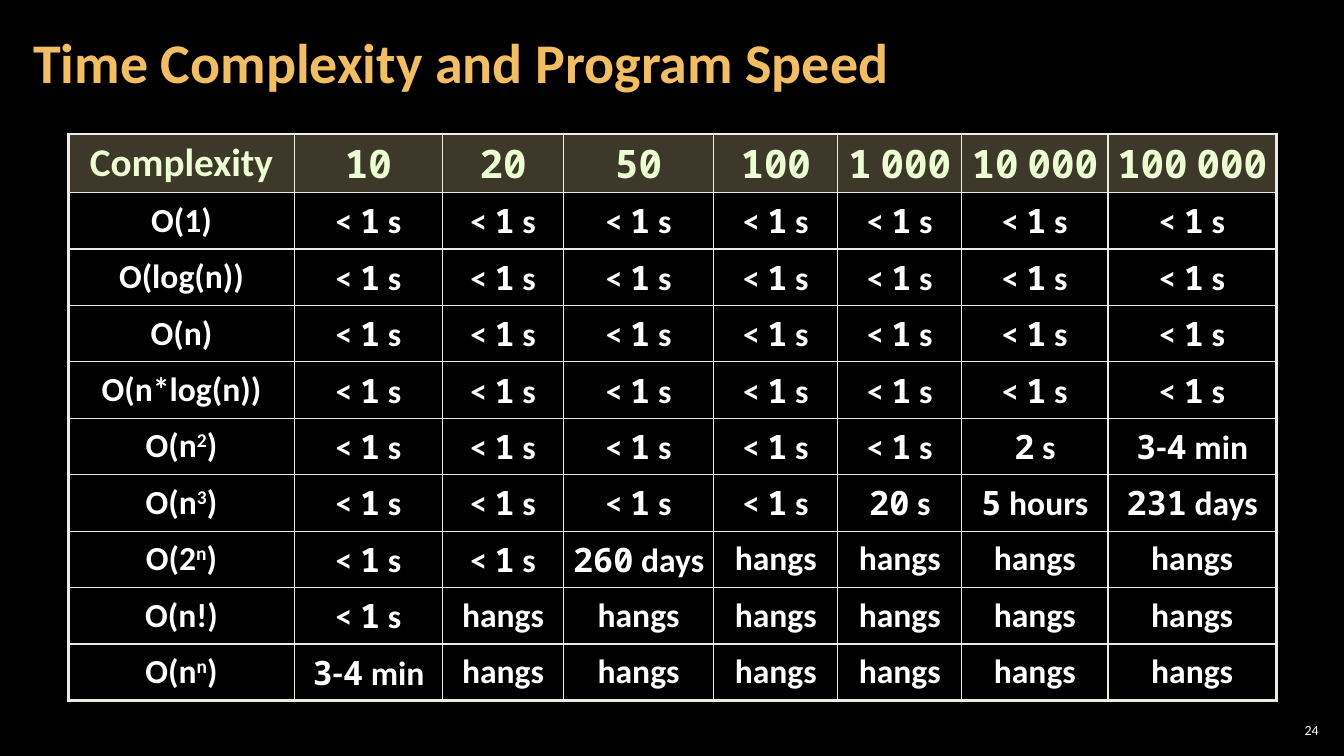
import itertools

import lxml.etree
import pptx
import pptx.dml.color
import pptx.enum.text
import pptx.oxml.ns
import pptx.util

Inches = pptx.util.Inches
Pt = pptx.util.Pt
Align = pptx.enum.text.PP_ALIGN
Middle = pptx.enum.text.MSO_ANCHOR.MIDDLE
qn = pptx.oxml.ns.qn


class Theme:
    background = "000000"
    title = "F3BE60"
    text = "FFFFFF"
    header = "EBFFD2"
    header_fill = "7C7154"
    border = "ECEAE3"
    font = "Calibri"
    digit_font = "Noto Sans Mono"
    title_size = 40
    header_size = 28
    body_size = 24
    number_size = 10
    thin = 1
    thick = 2.25


def color(value):
    return pptx.dml.color.RGBColor.from_string(value)


def write(frame, text, size, ink, align=Align.LEFT, bold=True, digit_font=Theme.font, line_spacing=1, space=0):
    para = frame.paragraphs[0]
    para.alignment = align
    para.line_spacing = line_spacing
    para.space_before = para.space_after = Pt(space)
    for part, piece in enumerate(text.split("^")):
        for is_digit, letters in itertools.groupby(piece, str.isdigit):
            span = para.add_run()
            span.text = "".join(letters)
            span.font.name = digit_font if is_digit else Theme.font
            span.font.size = Pt(size)
            span.font.bold = bold
            span.font.color.rgb = color(ink)
            if part % 2:
                span._r.get_or_add_rPr().set("baseline", "30000")
    return para


deck = pptx.Presentation()
deck.slide_width = Inches(13.33)
deck.slide_height = Inches(7.5)
page = deck.slides.add_slide(deck.slide_layouts[5])
page.background.fill.solid()
page.background.fill.fore_color.rgb = color(Theme.background)

title = page.shapes.title
title.left, title.top, title.width, title.height = map(Inches, (0.21, 0.04, 10.47, 1.21))
number = page.shapes.add_textbox(*map(Inches, (12.65, 7.14, 0.47, 0.21)))
for box, side in ((title, 0.12), (number, 0.04)):
    frame = box.text_frame
    frame.word_wrap = True
    frame.auto_size = pptx.enum.text.MSO_AUTO_SIZE.NONE
    frame.vertical_anchor = Middle
    frame.margin_left = frame.margin_right = Inches(side)
    frame.margin_top = frame.margin_bottom = Inches(0.04)
write(title.text_frame, "Time Complexity and Program Speed", size=Theme.title_size, ink=Theme.title, line_spacing=0.9)
write(number.text_frame, "24", size=Theme.number_size, ink=Theme.text, align=Align.RIGHT, bold=False)

headings = ["Complexity", "10", "20", "50", "100", "1 000", "10 000", "100 000"]
growth = [
    ("O(1)", 7, []),
    ("O(log(n))", 7, []),
    ("O(n)", 7, []),
    ("O(n*log(n))", 7, []),
    ("O(n^2^)", 5, ["2 s", "3-4 min"]),
    ("O(n^3^)", 4, ["20 s", "5 hours", "231 days"]),
    ("O(2^n^)", 2, ["260 days"]),
    ("O(n!)", 1, []),
    ("O(n^n^)", 0, ["3-4 min"]),
]
rows = [headings]
for formula, fast_count, slow_times in growth:
    times = ["< 1 s"] * fast_count + slow_times
    rows.append([formula] + times + ["hangs"] * (len(headings) - 1 - len(times)))

widths = [2.24, 1.47, 1.2, 1.49, 1.23, 1.23, 1.45, 1.67]
heights = [0.58] + [0.56] * len(growth)
table = page.shapes.add_table(
    len(rows), len(headings), Inches(0.68), Inches(1.33), Inches(sum(widths)), Inches(sum(heights))
).table
table.first_row = table.horz_banding = False
for column, width in zip(table.columns, widths):
    column.width = Inches(width)
for row, height in zip(table.rows, heights):
    row.height = Inches(height)

last_row, last_column = len(rows) - 1, len(headings) - 1
for row_index, values in enumerate(rows):
    for column_index, value in enumerate(values):
        cell = table.cell(row_index, column_index)
        cell.vertical_anchor = Middle
        cell.margin_left = cell.margin_right = Inches(0.07)
        cell.margin_top = cell.margin_bottom = 0
        digit_font = Theme.digit_font if column_index else Theme.font
        if row_index == 0:
            para = write(cell.text_frame, value, size=Theme.header_size, ink=Theme.header,
                         align=Align.CENTER, digit_font=digit_font, line_spacing=0.95)
            before = para._p.pPr.find(qn("a:spcBef"))
            before.remove(before[0])
            lxml.etree.SubElement(before, qn("a:spcPct"), val="40000")
            cell.fill.solid()
            cell.fill.fore_color.rgb = color(Theme.header_fill)
            tint = cell._tc.tcPr.find(".//" + qn("a:srgbClr"))
            lxml.etree.SubElement(tint, qn("a:alpha"), val="50000")
        else:
            write(cell.text_frame, value, size=Theme.body_size, ink=Theme.text,
                  align=Align.CENTER, digit_font=digit_font, space=3)
            cell.fill.background()
        edges = {
            "a:lnL": column_index == 0,
            "a:lnR": column_index == last_column,
            "a:lnT": row_index == 0,
            "a:lnB": row_index == last_row,
        }
        for position, (edge, is_outer) in enumerate(edges.items()):
            weight = Pt(Theme.thick if is_outer else Theme.thin)
            line = lxml.etree.Element(qn(edge), w=str(weight))
            paint = lxml.etree.SubElement(line, qn("a:solidFill"))
            lxml.etree.SubElement(paint, qn("a:srgbClr"), val=Theme.border)
            cell._tc.tcPr.insert(position, line)

deck.save("out.pptx")
